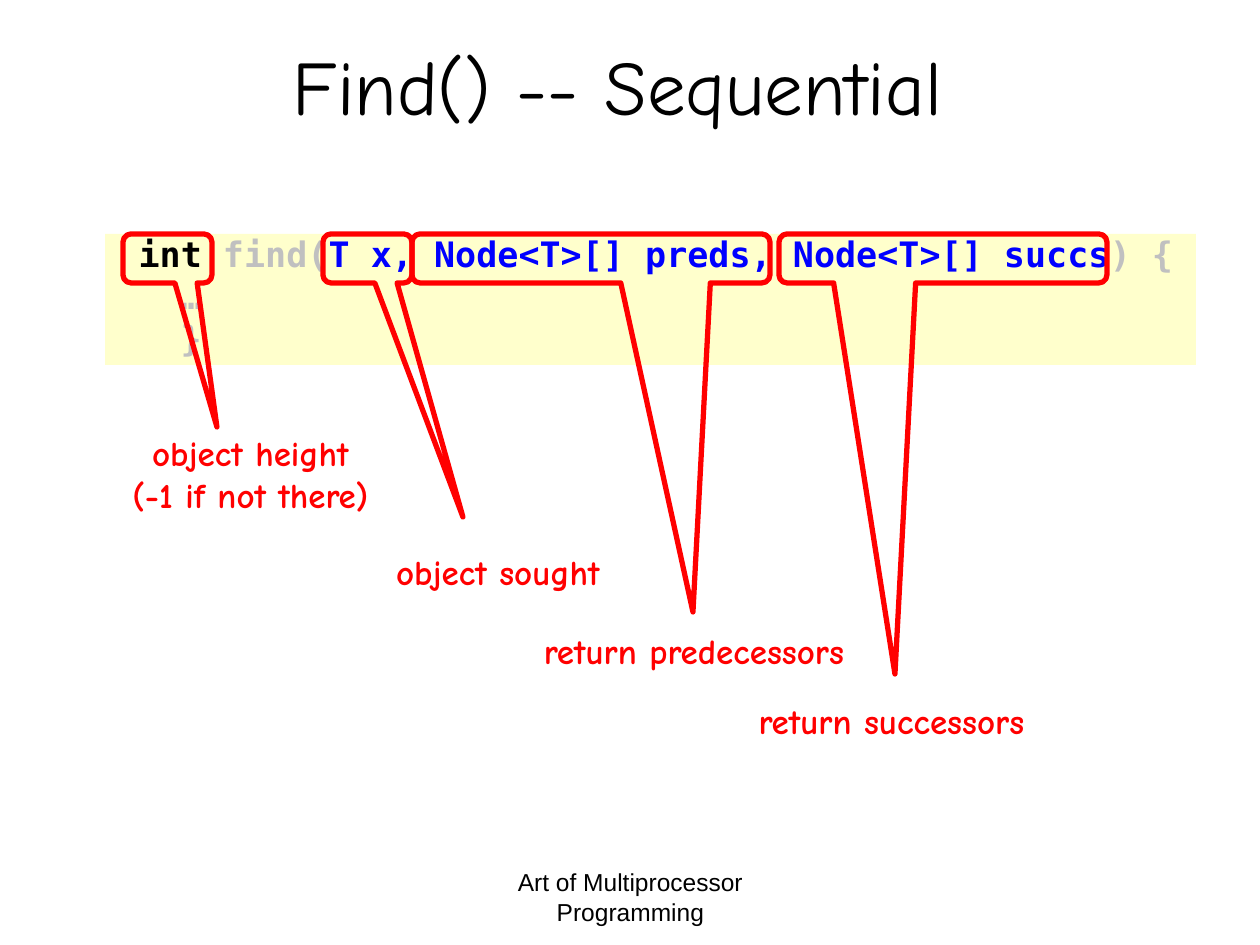
import pptx
import pptx.dml.color
import pptx.enum.shapes
import pptx.enum.text
import pptx.util

PX = 914400 / 126
ALIGN = pptx.enum.text.PP_ALIGN
ANCHOR = pptx.enum.text.MSO_ANCHOR
RED, BLUE, GREY, BLACK = "FF0000", "0000FF", "C0C0C0", "000000"

TITLE = {"size": pptx.util.Pt(44), "name": "Comic Neue"}
CODE = {"size": pptx.util.Pt(20), "name": "DejaVu Sans Mono", "bold": True}
LABEL = {"size": pptx.util.Pt(20), "name": "Comic Neue", "bold": True}
FOOTER = {"size": pptx.util.Pt(14), "name": "Arial"}
CENTERED = {"alignment": ALIGN.CENTER}
TIGHT = {"line_spacing": 0.8}

SIGNATURE = [
    (" ", BLUE),
    ("int", BLACK),
    (" find(", GREY),
    ("T x, Node<T>[] preds, Node<T>[] succs", BLUE),
    (") {", GREY),
]
CODE_LINES = [SIGNATURE, [("   …", GREY)], [("   }", GREY)]]

CALLOUT_TOP, CALLOUT_HEIGHT = 234, 49
CALLOUTS = [
    (323, 89, (463, 517)),
    (779, 328, (895, 674)),
    (412, 358, (693, 612)),
    (123, 89, (217, 427)),
]
LABELS = [
    ((336, 552, 324, 47), ["object sought"]),
    ((483, 631, 422, 47), ["return predecessors"]),
    ((698, 701, 387, 47), ["return successors"]),
    ((72, 433, 357, 89), ["object height", "(-1 if not there)"]),
]


def px(*lengths):
    return [round(length * PX) for length in lengths]


def color(value):
    return pptx.dml.color.RGBColor.from_string(value)


def apply(target, values):
    for key, value in values.items():
        setattr(target, key, value)


def write(frame, lines, font, layout):
    for index, line in enumerate(lines):
        paragraph = frame.add_paragraph() if index else frame.paragraphs[0]
        apply(paragraph, layout)
        if index:
            paragraph.space_before = pptx.util.Pt(5)
        for text, ink in line:
            run = paragraph.add_run()
            run.text = text
            apply(run.font, font)
            run.font.color.rgb = color(ink)


def add_text(slide, box, lines, font, layout, frame_format):
    words = slide.shapes.add_textbox(*px(*box))
    apply(words.text_frame, {"word_wrap": True, **frame_format})
    write(words.text_frame, lines, font, layout)


def add_code(slide, box, lines):
    panel = slide.shapes.add_shape(pptx.enum.shapes.MSO_SHAPE.RECTANGLE, *px(*box))
    panel.shadow.inherit = False
    panel.fill.solid()
    panel.fill.fore_color.rgb = color("FFFFCC")
    panel.line.fill.background()
    apply(panel.text_frame, {"word_wrap": True, "vertical_anchor": ANCHOR.TOP})
    write(panel.text_frame, lines, CODE, {"alignment": ALIGN.LEFT, **TIGHT})


def add_callout(slide, left, width, tip):
    callout = slide.shapes.add_shape(
        pptx.enum.shapes.MSO_SHAPE.ROUNDED_RECTANGULAR_CALLOUT,
        *px(left, CALLOUT_TOP, width, CALLOUT_HEIGHT),
    )
    callout.shadow.inherit = False
    callout.adjustments[0] = (tip[0] - left) / width - 0.5
    callout.adjustments[1] = (tip[1] - CALLOUT_TOP) / CALLOUT_HEIGHT - 0.5
    callout.fill.background()
    callout.line.color.rgb = color(RED)
    callout.line.width = pptx.util.Pt(3)


def main():
    deck = pptx.Presentation()
    deck.slide_width, deck.slide_height = px(1260, 945)
    slide = deck.slides.add_slide(deck.slide_layouts[6])

    add_text(slide, (95, 6, 1071, 158), [[("Find() -- Sequential ", BLACK)]],
             TITLE, CENTERED, {"vertical_anchor": ANCHOR.MIDDLE})
    add_code(slide, (105, 234, 1091, 131), CODE_LINES)
    for left, width, tip in CALLOUTS:
        add_callout(slide, left, width, tip)
    label_frame = {
        "word_wrap": False,
        "auto_size": pptx.enum.text.MSO_AUTO_SIZE.SHAPE_TO_FIT_TEXT,
    }
    for box, lines in LABELS:
        add_text(slide, box, [[(line, RED)] for line in lines],
                 LABEL, {**CENTERED, **TIGHT}, label_frame)
    add_text(slide, (431, 861, 399, 66),
             [[("Art of Multiprocessor Programming", BLACK)]],
             FOOTER, CENTERED, {"vertical_anchor": ANCHOR.TOP})

    deck.save("out.pptx")


if __name__ == "__main__":
    main()
